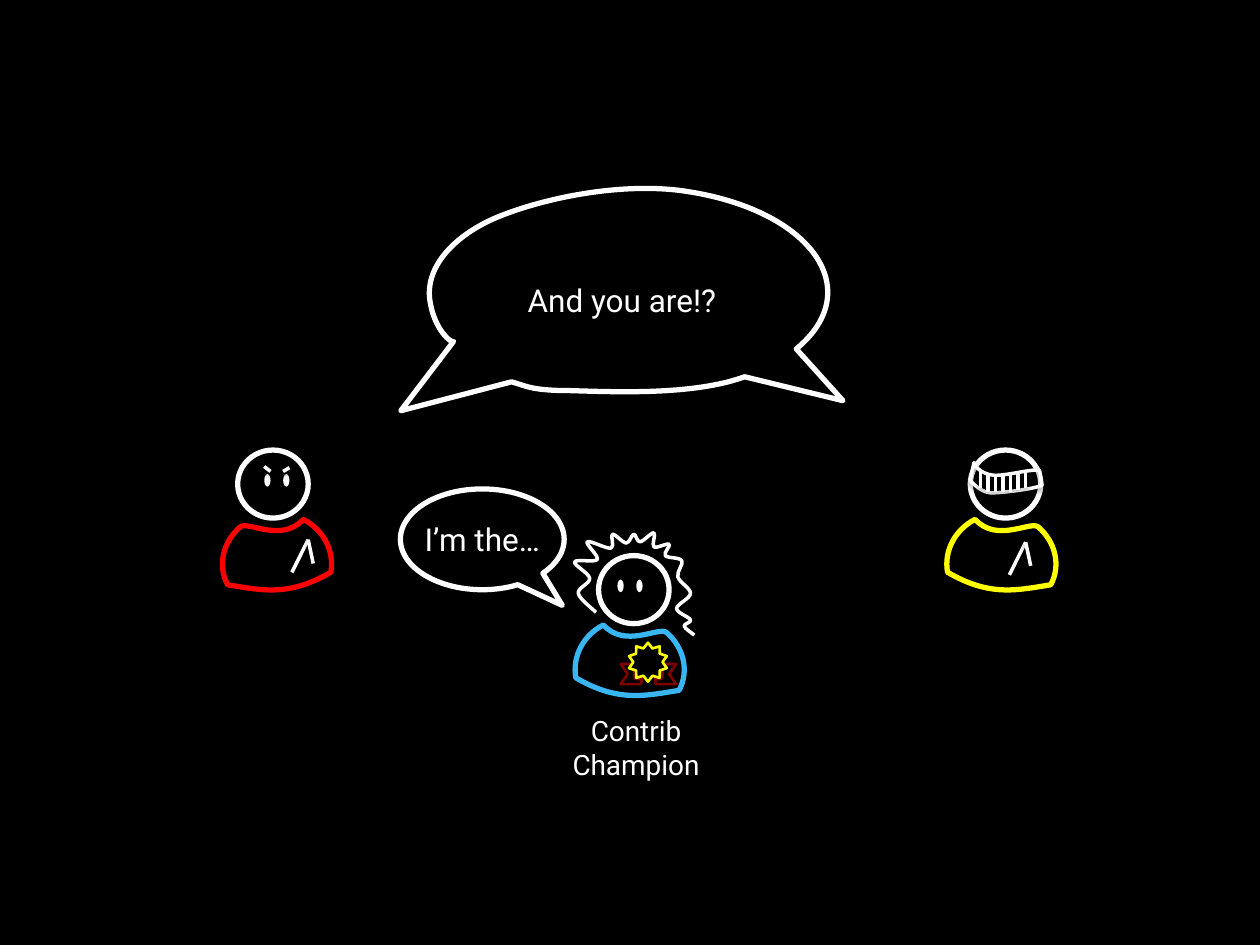
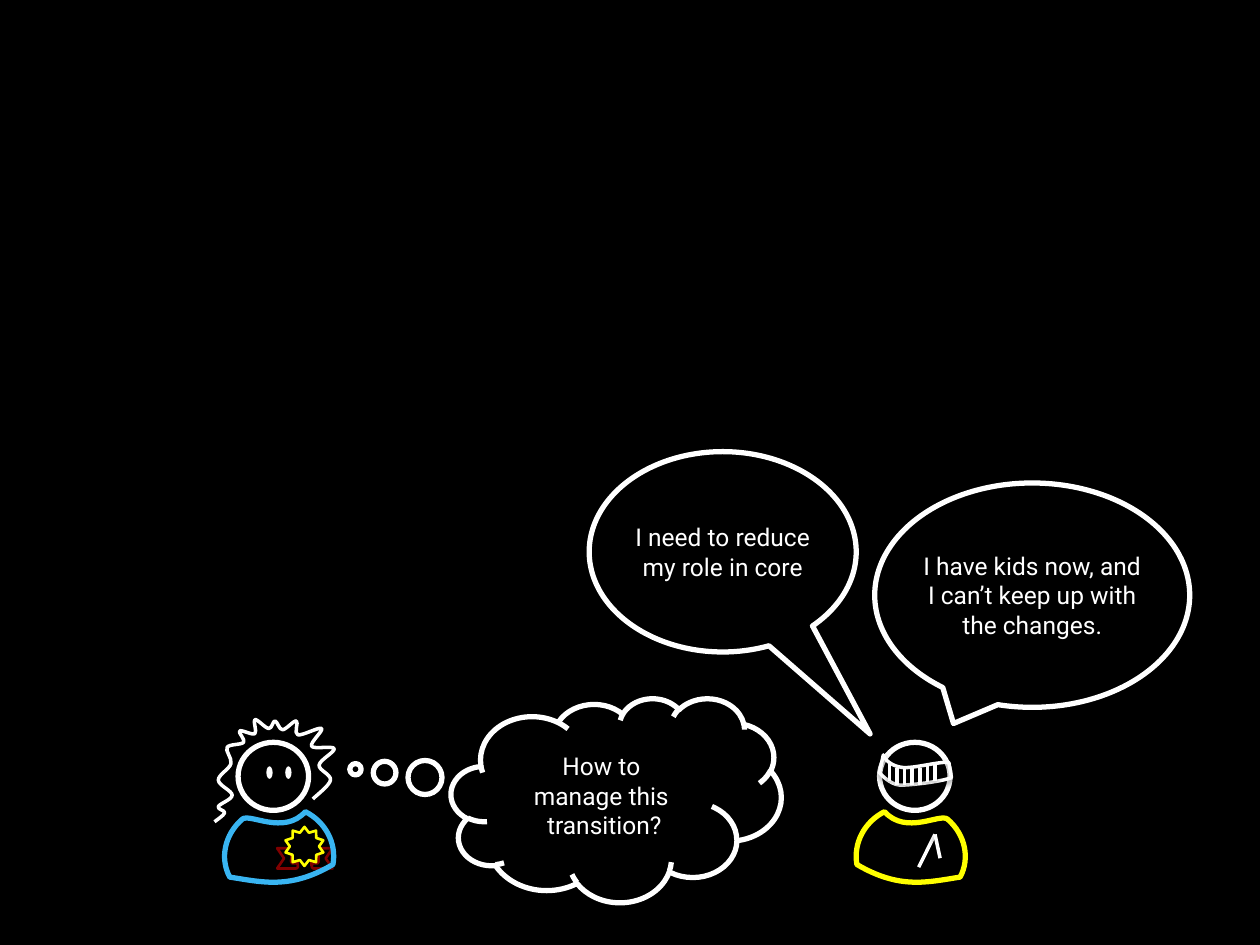
"""Build two comic-style slides of figures talking on a black stage."""
from dataclasses import dataclass
from typing import Optional

from lxml import etree
from pptx import Presentation
from pptx.dml.color import RGBColor
from pptx.enum.shapes import MSO_CONNECTOR, MSO_SHAPE
from pptx.enum.text import MSO_ANCHOR, PP_ALIGN
from pptx.oxml.ns import qn
from pptx.util import Pt

BLACK = RGBColor(0x00, 0x00, 0x00)
WHITE = RGBColor(0xFF, 0xFF, 0xFF)
RED = RGBColor(0xFF, 0x00, 0x00)
YELLOW = RGBColor(0xFF, 0xFF, 0x00)
BLUE = RGBColor(0x39, 0xB5, 0xF2)
MAROON = RGBColor(0x80, 0x00, 0x00)

OVAL = MSO_SHAPE.OVAL
RIBBON = MSO_SHAPE.UP_RIBBON
STAR = MSO_SHAPE.STAR_10_POINT
SPEECH = MSO_SHAPE.OVAL_CALLOUT
THOUGHT = MSO_SHAPE.CLOUD_CALLOUT
STRAIGHT = MSO_CONNECTOR.STRAIGHT
CENTER = PP_ALIGN.CENTER
MIDDLE = MSO_ANCHOR.MIDDLE
TOP = MSO_ANCHOR.TOP

FONT = "Roboto"
HEAD_WIDTH, HEAD_HEIGHT = 40.3, 38.9
EYE_WIDTH, EYE_HEIGHT, EYE_TOP = 3.6, 7.2, 13.7
EYE_CENTERS = (-7.6, 3.2)
SLAT_LEFT, SLAT_STEP, SLAT_HEIGHT = -14.4, 4.3, 9.7
SLAT_TOPS = (12.2, 14.4, 14.4, 14.4, 14.4, 13, 12.2)

Point = tuple[float, float]
Segment = tuple[Point, ...]

BODY: list[Segment] = [
    ((-33.1, 69.8),),
    ((-35.3, 57.6), (-28.8, 45.4), (-17.3, 39.6)),
    ((-5, 53.3), (14.4, 40.3), (18.7, 43.9)),
    ((28.8, 52.6), (31.7, 66.2), (25.9, 77)),
    ((7.2, 79.9), (-8.6, 84.2), (-33.1, 69.8)),
]
VISOR: list[Segment] = [
    ((-18, 7.2),),
    ((-17.3, 10.1), (-13, 13.7), (-7.2, 14.4)),
    ((-0.7, 15.1), (14.4, 10.8), (19.4, 11.5)),
    ((20.9, 20.2),),
    ((15.8, 22.3), (-1.4, 24.5), (-8.6, 24.5)),
    ((-15.1, 23.8), (-20.2, 17.3), (-20.2, 17.3)),
    ((-18, 7.2),),
]
TWO_TAILED_BUBBLE: list[Segment] = [
    ((481.7, 229),),
    ((425.5, 215.3),),
    ((396, 226.1), (350.6, 223.9), (325.4, 223.2)),
    ((303.1, 223.2), (300.2, 220.3), (292.3, 218.2)),
    ((229, 234.7),),
    ((259.2, 195.1),),
    ((258.5, 196.6), (247.7, 188.6), (245.5, 170.6)),
    ((243.4, 151.9), (259.9, 134.6), (283, 124.6)),
    ((306.7, 114.5), (349.9, 104.4), (387.4, 108.7)),
    ((462.2, 118.1), (496.8, 164.9), (455, 199.4)),
    ((481.7, 229),),
]
HAIR: list[Point] = [
    (-21.6, 32.4), (-31.7, 21.6), (-25.2, 13), (-33.8, 3.6), (-20.9, 2.2),
    (-26.6, -7.9), (-13, -4.3), (-12.2, -12.2), (-4.3, -7.2), (0, -12.2),
    (3.6, -7.9), (11.5, -13), (11.5, -5), (20.2, -6.5), (18, 0),
    (27.4, 2.9), (25.2, 12.2), (32.4, 21.6), (24.5, 30.2), (32.4, 36.7),
    (28.8, 40.3), (34.6, 45.4),
]
CHEVRON: list[Point] = [(11.5, 52.6), (2.2, 71.3), (14.4, 66.2)]
BROWS: list[tuple[Point, Point]] = [((-5, 9.4), (-1.4, 12.2)), ((9.4, 10.1), (5.8, 12.2))]


@dataclass(frozen=True)
class Figure:
    """A person placed by the top centre of the head."""

    center: float
    top: float
    color: RGBColor
    mirrored: bool = False
    drift: float = 0
    eyes: bool = False
    brows: bool = False
    visor: bool = False
    hair: bool = False
    chevron_shift: Optional[Point] = None
    medal_shift: Optional[Point] = None

    def at(self, point: Point, fixed: bool = False) -> Point:
        """Place a point of the figure on the slide."""
        if fixed:
            return self.center + point[0], self.top + point[1]
        side = -1 if self.mirrored else 1
        return self.center + self.drift + side * point[0], self.top + point[1]

    def place(self, segments: list[Segment]) -> list[Segment]:
        """Place an outline of the figure on the slide."""
        return [tuple(self.at(point) for point in segment) for segment in segments]


@dataclass(frozen=True)
class Bubble:
    """A callout with its frame, tail and text."""

    kind: MSO_SHAPE
    frame: tuple[float, float, float, float]
    tail: Point
    text: str
    size: float = 14
    wrap: bool = True
    inset: Point = (0, 0)


def write(shape, text: str, *, size: float, anchor=MIDDLE, wrap: bool = True,
          inset: Point = (0, 0), color: RGBColor = WHITE) -> None:
    """Put centred text into a shape."""
    frame = shape.text_frame
    frame.word_wrap = wrap
    frame.vertical_anchor = anchor
    frame.margin_left = frame.margin_right = Pt(inset[0])
    frame.margin_top = frame.margin_bottom = Pt(inset[1])
    paragraph = frame.paragraphs[0]
    paragraph.text = text
    paragraph.alignment = CENTER
    for run in paragraph.runs:
        run.font.name = FONT
        run.font.size = Pt(size)
        run.font.color.rgb = color


def cast_shadow(effects) -> None:
    """Add a soft black shadow below to an effect list."""
    shadow = etree.SubElement(effects, qn("a:outerShdw"), blurRad=str(Pt(3.1)),
                              dist=str(Pt(1.6)), dir="5400000", rotWithShape="0")
    color = etree.SubElement(shadow, qn("a:srgbClr"), val=str(BLACK))
    etree.SubElement(color, qn("a:alpha"), val="38000")


def paint(shape, line: Optional[RGBColor], width: float, fill: Optional[RGBColor],
          shadow: bool) -> None:
    """Set the line, fill and shadow of a shape."""
    shape.shadow.inherit = False
    if fill is None:
        shape.fill.background()
    else:
        shape.fill.solid()
        shape.fill.fore_color.rgb = fill
    if line is None:
        shape.line.fill.background()
    else:
        shape.line.color.rgb = line
        shape.line.width = Pt(width)
    if shadow:
        cast_shadow(shape._element.spPr.find(qn("a:effectLst")))


def add_preset(shapes, kind, frame, line: Optional[RGBColor] = WHITE, width: float = 3,
               fill: Optional[RGBColor] = None, adjustments: tuple[float, ...] = (),
               shadow: bool = True):
    """Add a preset shape."""
    shape = shapes.add_shape(kind, *(Pt(length) for length in frame))
    for index, value in enumerate(adjustments):
        shape.adjustments[index] = value
    paint(shape, line, width, fill, shadow)
    return shape


def add_stroke(shapes, start: Point, end: Point) -> None:
    """Add a thin white line."""
    connector = shapes.add_connector(STRAIGHT, *(Pt(length) for length in (*start, *end)))
    connector.line.color.rgb = WHITE
    connector.line.width = Pt(2)
    cast_shadow(etree.SubElement(connector._element.spPr, qn("a:effectLst")))


def spline(anchors: list[Point]) -> list[Segment]:
    """Join anchors by smooth cubic curves."""
    padded = [anchors[0], *anchors, anchors[-1]]
    segments: list[Segment] = [(anchors[0],)]
    for before, start, end, after in zip(padded, padded[1:], padded[2:], padded[3:]):
        leave = (start[0] + (end[0] - before[0]) / 6, start[1] + (end[1] - before[1]) / 6)
        arrive = (end[0] - (after[0] - start[0]) / 6, end[1] - (after[1] - start[1]) / 6)
        segments.append((leave, arrive, end))
    return segments


def bounds(segments: list[Segment]) -> tuple[float, float, float, float]:
    """Return left, top, width and height of an outline."""
    points = [segment[-1] for segment in segments]
    for before, segment in zip(segments, segments[1:]):
        if len(segment) == 3:
            controls = (before[-1], *segment)
            for t in (step / 20 for step in range(1, 20)):
                weights = ((1 - t) ** 3, 3 * t * (1 - t) ** 2, 3 * t * t * (1 - t), t ** 3)
                points.append(tuple(sum(w * c[axis] for w, c in zip(weights, controls))
                                    for axis in (0, 1)))
    columns, rows = zip(*points)
    return min(columns), min(rows), max(columns) - min(columns), max(rows) - min(rows)


def add_outline(shapes, segments: list[Segment], color: RGBColor = WHITE, width: float = 3,
                close: bool = True):
    """Add an unfilled freeform of lines and cubic curves."""
    anchors = [(Pt(x), Pt(y)) for x, y in (segment[-1] for segment in segments)]
    builder = shapes.build_freeform(*anchors[0], scale=1.0)
    builder.add_line_segments(anchors[1:], close=close)
    shape = builder.convert_to_shape()
    left, top, across, down = bounds(segments)
    shape.left, shape.top, shape.width, shape.height = (
        Pt(length) for length in (left, top, across, down))
    outline = next(shape._element.iter(qn("a:path")))
    outline.set("w", str(Pt(across)))
    outline.set("h", str(Pt(down)))
    steps = [step for step in outline if step.tag != qn("a:close")]
    for step, segment in zip(steps, segments):
        if len(segment) == 3:
            curve = etree.Element(qn("a:cubicBezTo"))
            outline.replace(step, curve)
            step = curve
        for corner in list(step):
            step.remove(corner)
        for x, y in segment:
            etree.SubElement(step, qn("a:pt"), x=str(Pt(x - left)), y=str(Pt(y - top)))
    paint(shape, color, width, None, True)
    return shape


def draw_figure(slide, figure: Figure) -> None:
    """Draw one person as a group."""
    shapes = slide.shapes.add_group_shape().shapes
    if figure.medal_shift:
        left, top = figure.at(figure.medal_shift, fixed=True)
        add_preset(shapes, RIBBON, (left - 7.5, top + 56.2, 31.7, 17.3), MAROON, 1.5,
                   adjustments=(0.333, 0.5), shadow=False)
        add_preset(shapes, STAR, (left - 2.7, top + 49.7, 21.6, 22.3), YELLOW, 1.5, BLACK,
                   adjustments=(0.368,), shadow=False)
    add_outline(shapes, figure.place(BODY), figure.color)
    add_preset(shapes, OVAL,
               (figure.center - HEAD_WIDTH / 2, figure.top, HEAD_WIDTH, HEAD_HEIGHT))
    if figure.eyes:
        for offset in EYE_CENTERS:
            x, y = figure.at((offset, EYE_TOP))
            add_preset(shapes, OVAL, (x - EYE_WIDTH / 2, y, EYE_WIDTH, EYE_HEIGHT),
                       None, fill=WHITE)
    if figure.brows:
        for start, end in BROWS:
            add_stroke(shapes, figure.at(start, fixed=True), figure.at(end, fixed=True))
    if figure.chevron_shift:
        dx, dy = figure.chevron_shift
        apex, *ends = [figure.at((x + dx, y + dy), fixed=True) for x, y in CHEVRON]
        for end in ends:
            add_stroke(shapes, apex, end)
    if figure.visor:
        add_outline(shapes, figure.place(VISOR), width=2)
        for index, top in enumerate(SLAT_TOPS):
            x = SLAT_LEFT + index * SLAT_STEP
            add_stroke(shapes, figure.at((x, top)), figure.at((x, top + SLAT_HEIGHT)))
    if figure.hair:
        add_outline(shapes, figure.place(spline(HAIR)), width=2, close=False)


def add_scene(presentation, figures: list[Figure], bubbles: list[Bubble]):
    """Add a black slide with figures and callouts."""
    slide = presentation.slides.add_slide(presentation.slide_layouts[6])
    slide.background.fill.solid()
    slide.background.fill.fore_color.rgb = BLACK
    for figure in figures:
        draw_figure(slide, figure)
    for bubble in bubbles:
        shape = add_preset(slide.shapes, bubble.kind, bubble.frame, adjustments=bubble.tail,
                           shadow=bubble.kind == SPEECH)
        write(shape, bubble.text, size=bubble.size, wrap=bubble.wrap, inset=bubble.inset)
    return slide


def main() -> None:
    """Build and save the presentation."""
    presentation = Presentation()
    presentation.slide_width, presentation.slide_height = Pt(720), Pt(540)
    meeting = add_scene(presentation, [
        Figure(362.2, 317.5, BLUE, eyes=True, hair=True, medal_shift=(0, 0)),
        Figure(156, 257.2, RED, mirrored=True, eyes=True, brows=True, chevron_shift=(8.6, -1.4)),
        Figure(574.6, 257.2, YELLOW, visor=True, chevron_shift=(0, 0)),
    ], [Bubble(SPEECH, (228.8, 279.4, 93.6, 57.6), (0.489, 0.656), "I’m the…", size=18)])
    question = add_outline(meeting.shapes, TWO_TAILED_BUBBLE)
    write(question, "And you are!?", size=18)
    caption = meeting.shapes.add_textbox(Pt(295.4), Pt(404.2), Pt(136.1), Pt(46.1))
    write(caption, "Contrib Champion", size=16, anchor=TOP, inset=(7.2, 3.6))

    add_scene(presentation, [
        Figure(156.2, 424.2, BLUE, mirrored=True, drift=1, eyes=True, hair=True,
               medal_shift=(9.7, -1.4)),
        Figure(522.8, 424.2, YELLOW, visor=True, chevron_shift=(0, 0)),
    ], [
        Bubble(SPEECH, (336.7, 258.1, 152.6, 114.5), (0.552, 0.909),
               "I need to reduce my role in core"),
        Bubble(SPEECH, (499.9, 276, 180, 128.2), (-0.25, 0.572),
               "I have kids now, and I can’t keep up with the changes."),
        Bubble(THOUGHT, (257.8, 398.9, 188.6, 116.6), (-0.79, -0.151),
               "How to \nmanage this \ntransition?", wrap=False, inset=(7.2, 3.6)),
    ])
    presentation.save("out.pptx")


if __name__ == "__main__":
    main()
